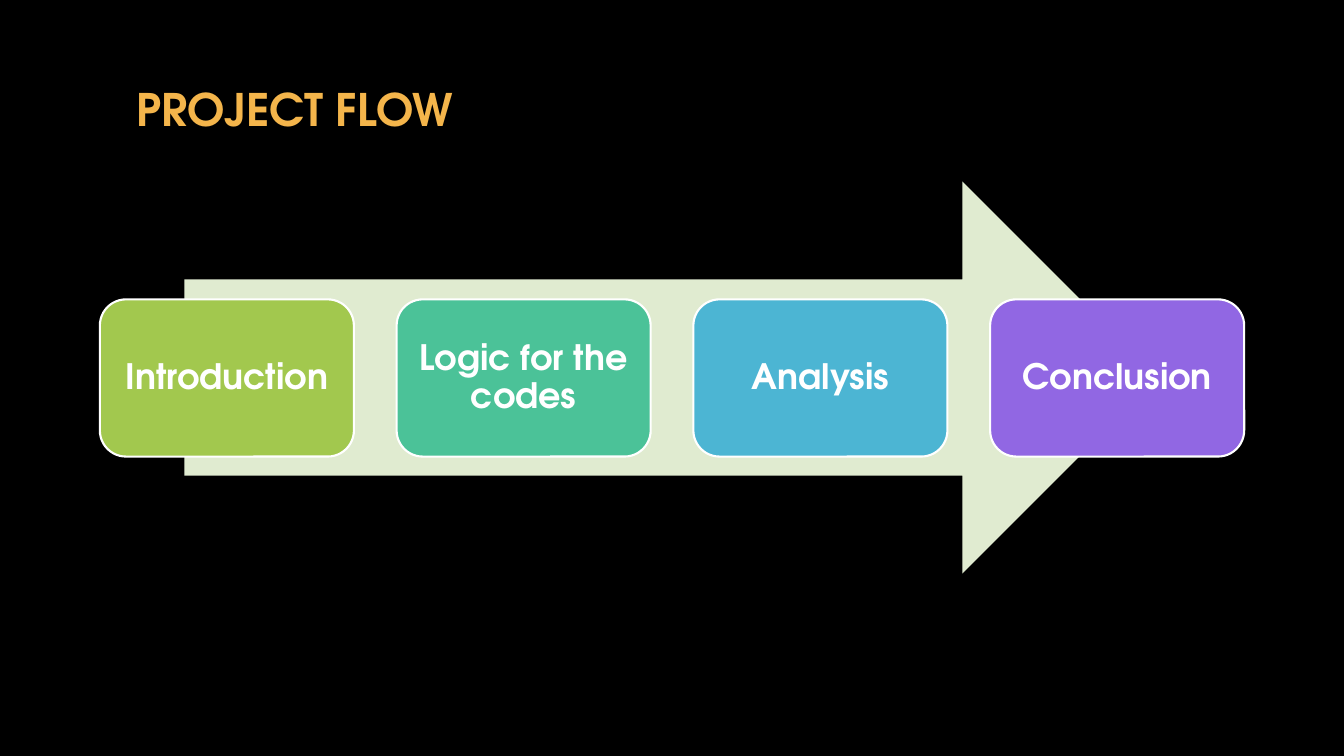
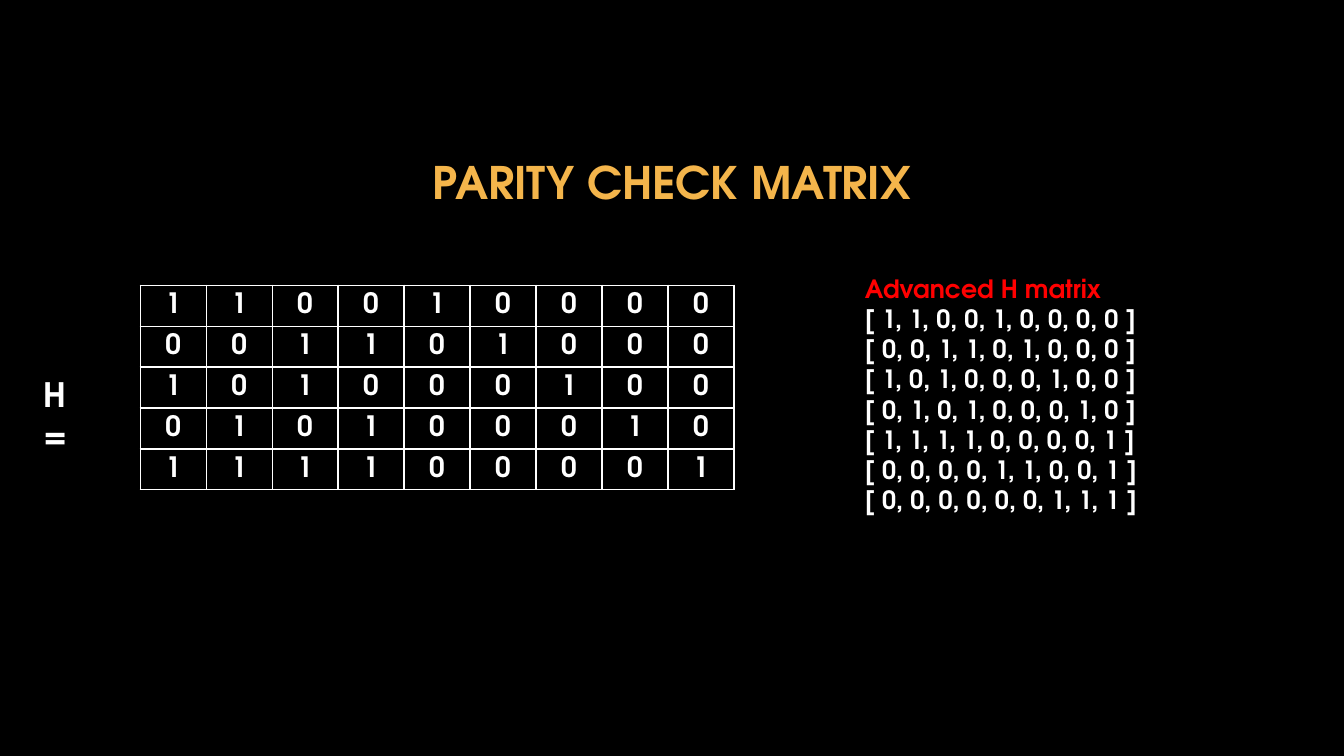
from pptx import Presentation
from pptx.dml.color import RGBColor
from pptx.enum.shapes import MSO_SHAPE
from pptx.enum.text import MSO_ANCHOR, PP_ALIGN
from pptx.oxml import parse_xml
from pptx.oxml.ns import nsdecls
from pptx.util import Inches, Pt

ARROW, ROUNDED = MSO_SHAPE.RIGHT_ARROW, MSO_SHAPE.ROUNDED_RECTANGLE
LEFT, CENTER = PP_ALIGN.LEFT, PP_ALIGN.CENTER
TOP, MIDDLE = MSO_ANCHOR.TOP, MSO_ANCHOR.MIDDLE

FONT = "TeX Gyre Adventor"
BLACK, WHITE, GOLD, RED = "000000", "FFFFFF", "F4B54B", "FF0000"
PALE_GREEN = "E0EBD0"

STEPS = [
    ("Introduction", "A2C84E"),
    ("Logic for the codes", "4BC298"),
    ("Analysis", "4CB5D3"),
    ("Conclusion", "9167E3"),
]
PARITY_ROWS = ["110010000", "001101000", "101000100", "010100010", "111100001"]
EXTRA_ROWS = ["000011001", "000000111"]


def color(value):
    return RGBColor.from_string(value)


def inches(*lengths):
    return [Inches(length) for length in lengths]


def write(frame, lines, size, align=LEFT, anchor=TOP, spacing=None):
    """Fill a text frame with one paragraph per (text, colour) pair."""
    frame.word_wrap = True
    frame.vertical_anchor = anchor
    for index, (text, text_color) in enumerate(lines):
        para = frame.add_paragraph() if index else frame.paragraphs[0]
        para.alignment = align
        if spacing:
            para.line_spacing = spacing
        span = para.add_run()
        span.text = text
        style = {"name": FONT, "size": Pt(size), "bold": True}
        for name, value in style.items():
            setattr(span.font, name, value)
        span.font.color.rgb = color(text_color)


def add_slide(deck, title, top, height, align):
    slide = deck.slides.add_slide(deck.slide_layouts[5])
    box = slide.shapes.title
    box.left, box.top, box.width, box.height = inches(1.25, top, 10.83, height)
    write(box.text_frame, [(title, GOLD)], 32, align, MIDDLE)
    return slide


def add_filled(slide, kind, place, fill):
    shape = slide.shapes.add_shape(kind, *inches(*place))
    shape.shadow.inherit = False
    shape.fill.solid()
    shape.fill.fore_color.rgb = color(fill)
    shape.line.fill.background()
    return shape


def add_textbox(slide, place, lines, size):
    box = slide.shapes.add_textbox(*inches(*place))
    write(box.text_frame, lines, size)


def border_cell(cell):
    properties = cell._tc.get_or_add_tcPr()
    for position, side in enumerate(("lnL", "lnR", "lnT", "lnB")):
        properties.insert(position, parse_xml(
            f'<a:{side} {nsdecls("a")} w="{Pt(1)}"><a:solidFill>'
            f'<a:srgbClr val="{WHITE}"/></a:solidFill></a:{side}>'))


def add_matrix(slide, rows, left, top, width, height):
    place = inches(left, top, width, height)
    table = slide.shapes.add_table(len(rows), len(rows[0]), *place).table
    table.first_row = table.horz_banding = False
    for row, digits in enumerate(rows):
        for column, digit in enumerate(digits):
            cell = table.cell(row, column)
            cell.margin_top = cell.margin_bottom = 0
            cell.vertical_anchor = MIDDLE
            cell.fill.background()
            border_cell(cell)
            write(cell.text_frame, [(digit, WHITE)], 20, CENTER, MIDDLE)


def build_flow(deck):
    slide = add_slide(deck, "PROJECT FLOW", 0.67, 0.81, LEFT)
    add_filled(slide, ARROW, (1.83, 1.8, 9.66, 3.89), PALE_GREEN)
    first_left, last_left = 0.99, 9.82
    pitch = (last_left - first_left) / (len(STEPS) - 1)
    for index, (label, fill) in enumerate(STEPS):
        place = (first_left + index * pitch, 2.97, 2.52, 1.56)
        step = add_filled(slide, ROUNDED, place, fill)
        step.line.color.rgb = color(WHITE)
        step.line.width = Pt(1.5)
        write(step.text_frame, [(label, WHITE)], 25, CENTER, MIDDLE, 0.9)


def build_matrix(deck):
    slide = add_slide(deck, "PARITY CHECK MATRIX", 0.76, 2.08, CENTER)
    add_matrix(slide, PARITY_ROWS, 1.39, 2.83, 5.89, 2.03)
    add_textbox(slide, (0.33, 3.66, 0.6, 0.9), [("H =", WHITE)], 24)
    lines = [("Advanced H matrix", RED)]
    for digits in PARITY_ROWS + EXTRA_ROWS:
        lines.append((f"[ {', '.join(digits)} ]", WHITE))
    add_textbox(slide, (8.48, 2.66, 4.5, 2.52), lines, 18)


def main():
    deck = Presentation()
    deck.slide_width, deck.slide_height = inches(13.33, 7.5)
    backdrop = deck.slide_master.background.fill
    backdrop.solid()
    backdrop.fore_color.rgb = color(BLACK)
    build_flow(deck)
    build_matrix(deck)
    deck.save("out.pptx")


if __name__ == "__main__":
    main()
